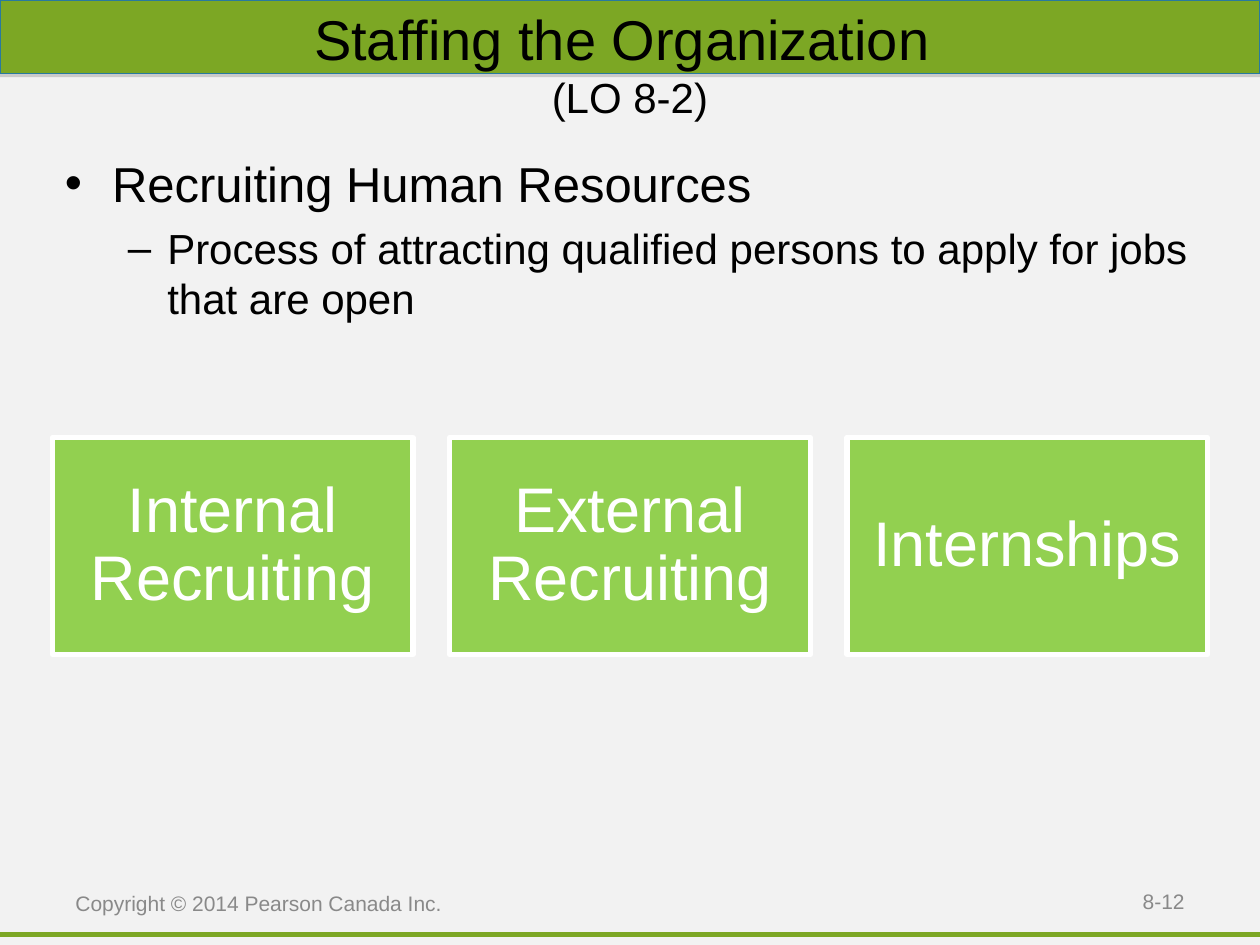
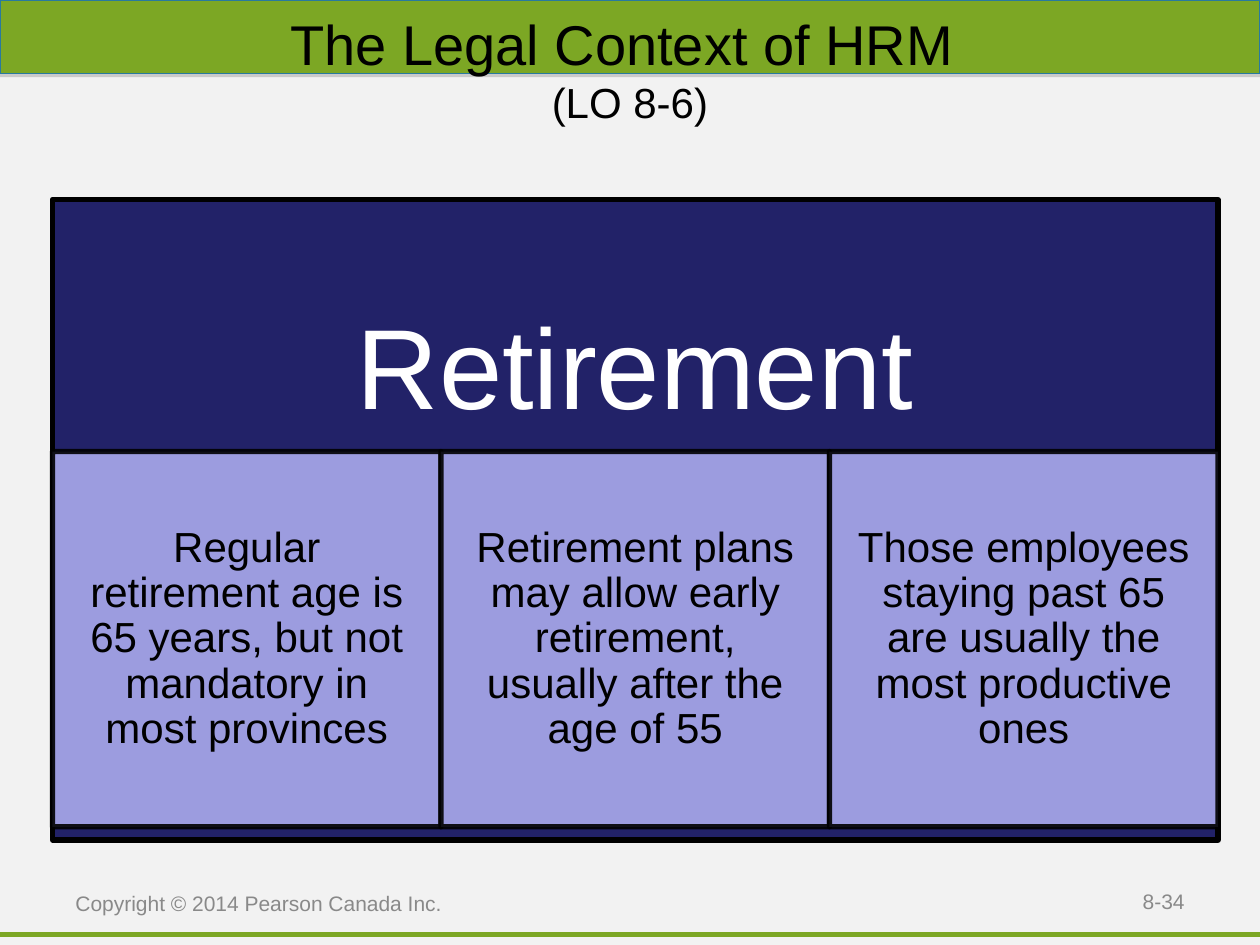
from lxml import etree
from pptx import Presentation
from pptx import util as u
from pptx.dml.color import RGBColor
from pptx.enum import shapes, text
from pptx.oxml import parse_xml
from pptx.oxml.ns import nsdecls, qn

WIDTH, HEIGHT = 720, 540
MARGIN = 30
FONT = "Arial"
BACKGROUND, GREEN, BAND_EDGE = "F2F2F2", "7CA724", "287A9E"
BLACK, WHITE, GREY = "000000", "FFFFFF", "898989"
LIME, NAVY, LAVENDER = "92D050", "222268", "9C9CDF"
TEXT_INSETS = (7.2, 3.6, 7.2, 3.6)
MIDDLE = text.MSO_ANCHOR.MIDDLE
CENTER, RIGHT = text.PP_ALIGN.CENTER, text.PP_ALIGN.RIGHT


def color(hex_string):
    return RGBColor.from_string(hex_string)


def set_font(font, size, hex_string):
    font.name, font.size = FONT, u.Pt(size)
    font.color.rgb = color(hex_string)


def set_bullet(paragraph, character, left, hanging):
    """Give the paragraph a bullet; left and hanging are in points."""
    properties = paragraph._p.get_or_add_pPr()
    properties.set("marL", str(u.Pt(left)))
    properties.set("indent", str(-u.Pt(hanging)))
    etree.SubElement(properties, qn("a:buFont")).set("typeface", FONT)
    etree.SubElement(properties, qn("a:buChar")).set("char", character)


class Deck:
    """Holds the shared style and the slide being built."""

    def __init__(self):
        self.presentation = Presentation()
        self.presentation.slide_width = u.Pt(WIDTH)
        self.presentation.slide_height = u.Pt(HEIGHT)
        self.slide = None

    def start_slide(self, title, objective, number, title_height):
        self.slide = self.presentation.slides.add_slide(self.presentation.slide_layouts[6])
        fill = self.slide.background.fill
        fill.solid()
        fill.fore_color.rgb = color(BACKGROUND)
        self.rule(534)
        self.band()
        self.title(title, objective, title_height)
        self.footer(number, 516, 500.5, 168, 28.5, RIGHT)
        self.footer("Copyright © 2014 Pearson Canada Inc.", 36, 492, 228, 48)

    def rule(self, top):
        line = self.slide.shapes.add_connector(
            shapes.MSO_CONNECTOR.STRAIGHT, 0, u.Pt(top), u.Pt(WIDTH), u.Pt(top))
        line.line.color.rgb = color(GREEN)
        line.line.width = u.Pt(3)
        etree.SubElement(line._element.spPr, qn("a:effectLst"))

    def rectangle(self, left, top, width, height, fill, edge, weight):
        shape = self.slide.shapes.add_shape(
            shapes.MSO_SHAPE.RECTANGLE, *map(u.Pt, (left, top, width, height)))
        shape.shadow.inherit = False
        shape.fill.solid()
        shape.fill.fore_color.rgb = color(fill)
        shape.line.color.rgb = color(edge)
        shape.line.width = u.Pt(weight)
        return shape

    def band(self):
        band = self.rectangle(0, 0, WIDTH, 42, GREEN, BAND_EDGE, 0.75)
        effects = band._element.spPr.find(qn("a:effectLst"))
        effects.append(parse_xml(
            f'<a:outerShdw {nsdecls("a")} dist="{u.Pt(1.8)}" dir="5400000" rotWithShape="0">'
            '<a:srgbClr val="808080"><a:alpha val="35000"/></a:srgbClr></a:outerShdw>'))

    def frame(self, shape, insets, anchor):
        """Set wrapping, insets (left, top, right, bottom) and anchor; return the text frame."""
        frame = shape.text_frame
        frame.word_wrap = True
        frame.vertical_anchor = anchor
        (frame.margin_left, frame.margin_top,
         frame.margin_right, frame.margin_bottom) = map(u.Pt, insets)
        return frame

    def text_box(self, left, top, width, height, insets=TEXT_INSETS, anchor=MIDDLE):
        box = self.slide.shapes.add_textbox(*map(u.Pt, (left, top, width, height)))
        return self.frame(box, insets, anchor)

    def title(self, title, objective, height):
        paragraph = self.text_box(0, 0, WIDTH, height, (18,) * 4).paragraphs[0]
        paragraph.alignment = CENTER
        for content, size in ((title + " ", 32), (objective, 24)):
            if paragraph.runs:
                paragraph.add_line_break()
            run = paragraph.add_run()
            run.text = content
            set_font(run.font, size, BLACK)

    def footer(self, content, left, top, width, height, alignment=None):
        paragraph = self.text_box(left, top, width, height).paragraphs[0]
        paragraph.text = content
        paragraph.alignment = alignment
        set_font(paragraph.font, 12, GREY)

    def bullets(self, heading, detail):
        frame = self.text_box(MARGIN, 84, 660, 114, anchor=text.MSO_ANCHOR.TOP)
        point, subpoint = frame.paragraphs[0], frame.add_paragraph()
        point.text, subpoint.text = heading, detail
        subpoint.level = 1
        subpoint.space_before = u.Pt(6)
        set_bullet(point, "•", 27, 27)
        set_bullet(subpoint, "–", 58.5, 22.5)
        set_font(point.font, 28, BLACK)
        set_font(subpoint.font, 24, BLACK)

    def block(self, content, place, fill, edge, size, ink, insets):
        """Draw a filled box with centred text; place is left, top, width, height."""
        shape = self.rectangle(*place, fill, edge, 3)
        paragraph = self.frame(shape, insets, MIDDLE).paragraphs[0]
        paragraph.text = content
        paragraph.alignment = CENTER
        paragraph.line_spacing = 0.9
        set_font(paragraph.font, size, ink)
        return shape


def build_staffing(deck):
    deck.start_slide("Staffing the Organization", "(LO 8-2)", "8-12", 72)
    deck.bullets("Recruiting Human Resources",
                 "Process of attracting qualified persons to apply for jobs that are open")
    sources = ("Internal Recruiting", "External Recruiting", "Internships")
    width, gap = 206, 21
    for index, source in enumerate(sources):
        place = (MARGIN + index * (width + gap), 250, width, 124)
        deck.block(source, place, LIME, WHITE, 36, WHITE, (10.8,) * 4)


def build_retirement(deck):
    deck.start_slide("The Legal Context of HRM", "(LO 8-6)", "8-34", 78)
    panel_width = 666
    deck.block("Retirement", (MARGIN, 114, panel_width, 366), NAVY, BLACK, 65, WHITE,
               (36.7, 36.7, 36.7, 204.5))
    facts = ("Regular retirement age is 65 years, but not mandatory in most provinces",
             "Retirement plans may allow early retirement, usually after the age of 55",
             "Those employees staying past 65 are usually the most productive ones")
    width = panel_width / len(facts)
    for index, fact in enumerate(facts):
        place = (MARGIN + index * width, 258, width, 214.5)
        cell = deck.block(fact, place, LAVENDER, BLACK, 24, BLACK, (14.4, 2.9, 14.4, 2.9))
        edge_color = cell._element.spPr.find(qn("a:ln")).find(".//" + qn("a:srgbClr"))
        etree.SubElement(edge_color, qn("a:alpha")).set("val", "90000")


def main():
    deck = Deck()
    build_staffing(deck)
    build_retirement(deck)
    deck.presentation.save("out.pptx")


if __name__ == "__main__":
    main()
